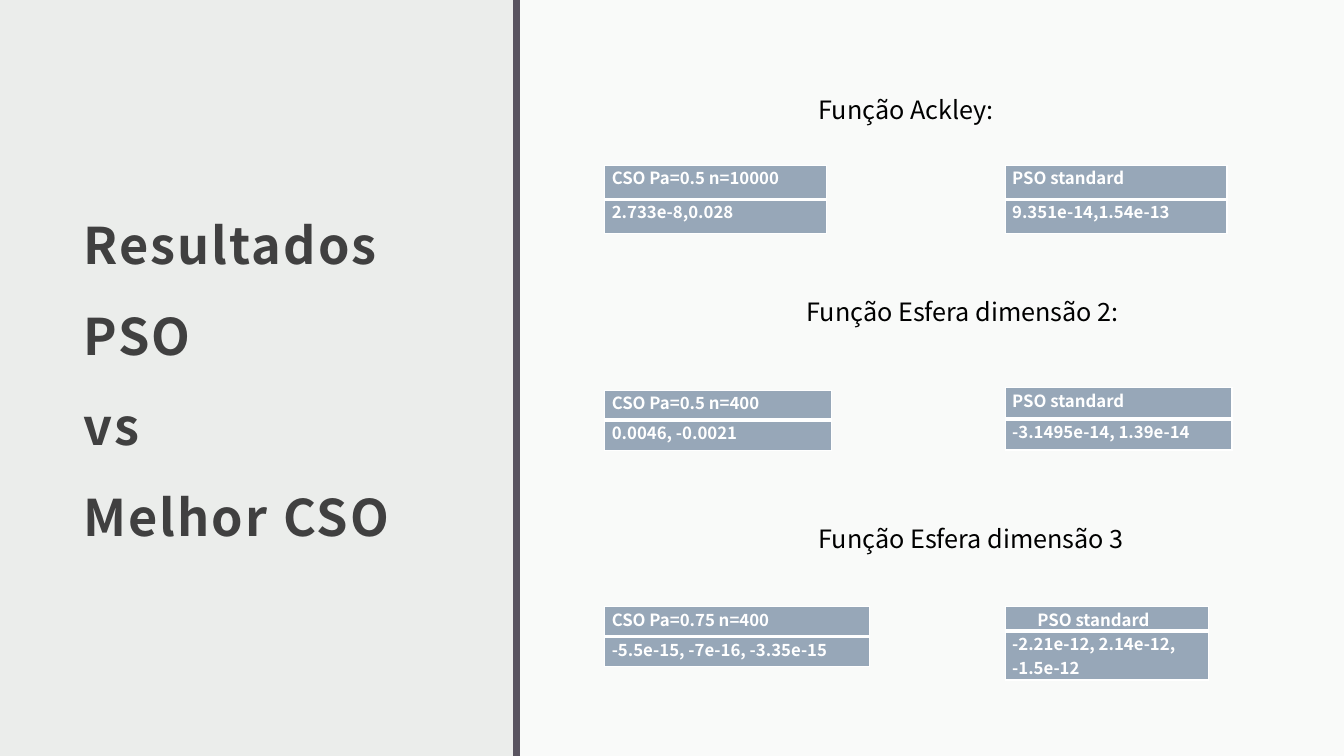
import copy
import pptx
import pptx.dml.color
import pptx.enum.shapes
import pptx.enum.text
import pptx.oxml
import pptx.oxml.ns
import pptx.util

Pt = pptx.util.Pt
qn = pptx.oxml.ns.qn
FONT = "Noto Sans CJK JP"
COLORS = {"background": "EBEDEB", "panel": "FFFFFF", "divider": "595460",
          "title": "404040", "cell": "97A7B8", "border": "FFFFFF",
          "value": "FFFFFF", "heading": "000000"}
CSO_LEFT, PSO_LEFT = 432, 718
RESULTS = [
    {"heading": ("Função Ackley:", (577.5, 63.5, 149, 29)),
     "cso": (("CSO Pa=0.5 n=10000", "2.733e-8,0.028"),
             (CSO_LEFT, 118, 158.5), (24.5, 24.5), 0),
     "pso": (("PSO standard", "9.351e-14,1.54e-13"),
             (PSO_LEFT, 118, 158.5), (24.5, 24.5), 0)},
    {"heading": ("Função Esfera dimensão 2:", (569, 208, 255.5, 29)),
     "cso": (("CSO Pa=0.5 n=400", "0.0046, -0.0021"),
             (CSO_LEFT, 278.75, 162), (21.5, 21.5), 0),
     "pso": (("PSO standard", "-3.1495e-14, 1.39e-14"),
             (PSO_LEFT, 277, 162), (22.25, 22.25), 0)},
    {"heading": ("Função Esfera dimensão 3", (577.5, 370, 247.5, 29)),
     "cso": (("CSO Pa=0.75 n=400", "-5.5e-15, -7e-16, -3.35e-15"),
             (CSO_LEFT, 433.25, 189.25), (21.5, 21.5), 0),
     "pso": (("PSO standard", "-2.21e-12, 2.14e-12, -1.5e-12"),
             (PSO_LEFT, 433.25, 145.25), (17.5, 35), 18)},
]


def rgb(part):
    return pptx.dml.color.RGBColor.from_string(COLORS[part])


def set_values(target, values):
    for name, value in values.items():
        setattr(target, name, value)


def style_text(run, part, size, bold=False):
    set_values(run.font, {"name": FONT, "size": Pt(size), "bold": bold})
    run.font.color.rgb = rgb(part)


def add_block(slide, box, part):
    block = slide.shapes.add_shape(pptx.enum.shapes.MSO_SHAPE.RECTANGLE, *map(Pt, box))
    block.shadow.inherit = False
    block.fill.solid()
    block.fill.fore_color.rgb = rgb(part)
    block.line.fill.background()
    return block


def add_backdrop(slide, box):
    left, top, width, height = box
    slide.background.fill.solid()
    slide.background.fill.fore_color.rgb = rgb("background")
    panel = add_block(slide, box, "panel")
    tint = panel.fill._xPr.find(".//" + qn("a:srgbClr"))
    tint.append(pptx.oxml.parse_xml(
        f'<a:alpha {pptx.oxml.ns.nsdecls("a")} val="75000"/>'))
    add_block(slide, (left - 5, top, 5, height), "divider")


def place_title(slide, box):
    title = slide.shapes.title
    set_values(title, dict(zip(("left", "top", "width", "height"), map(Pt, box))))
    frame = title.text_frame
    frame.text = "Resultados\vPSO\vvs\vMelhor CSO"
    set_values(frame, {"word_wrap": True,
                       "auto_size": pptx.enum.text.MSO_AUTO_SIZE.NONE,
                       "vertical_anchor": pptx.enum.text.MSO_ANCHOR.MIDDLE,
                       "margin_left": Pt(9), "margin_top": Pt(9),
                       "margin_right": Pt(9), "margin_bottom": Pt(7.2)})
    paragraph = frame.paragraphs[0]
    set_values(paragraph, {"line_spacing": 1.5, "space_before": Pt(0),
                           "alignment": pptx.enum.text.PP_ALIGN.LEFT})
    for run in paragraph.runs:
        style_text(run, "title", 36, True)
        run.font._element.set("spc", "150")
    for line_break in paragraph._p.findall(qn("a:br")):
        line_break.append(copy.deepcopy(paragraph.runs[0].font._element))


def add_borders(cell, widths):
    properties = cell._tc.get_or_add_tcPr()
    for side, width in widths.items():
        properties.append(pptx.oxml.parse_xml(
            f'<a:ln{side} {pptx.oxml.ns.nsdecls("a")} w="{Pt(width)}">'
            f'<a:solidFill><a:srgbClr val="{COLORS["border"]}"/></a:solidFill>'
            f'</a:ln{side}>'))


def add_result(slide, box, texts, heights, header_indent):
    left, top, width = map(Pt, box)
    table = slide.shapes.add_table(2, 1, left, top, width, Pt(sum(heights))).table
    table.columns[0].width = width
    borders = ({"L": 1, "R": 1, "T": 1, "B": 3}, {"L": 1, "R": 1, "T": 3, "B": 1})
    indents = (header_indent, 0)
    for row, (text, height) in enumerate(zip(texts, heights)):
        table.rows[row].height = Pt(height)
        cell = table.cell(row, 0)
        cell.text = text
        set_values(cell, {"margin_left": Pt(5), "margin_right": Pt(5),
                          "margin_top": 0, "margin_bottom": 0})
        add_borders(cell, borders[row])
        cell.fill.solid()
        cell.fill.fore_color.rgb = rgb("cell")
        paragraph = cell.text_frame.paragraphs[0]
        paragraph.space_after = Pt(8)
        paragraph._p.get_or_add_pPr().set("marL", str(Pt(indents[row])))
        style_text(paragraph.runs[0], "value", 12, True)


def add_heading(slide, box, text):
    heading = slide.shapes.add_textbox(*map(Pt, box)).text_frame
    heading.text = text
    set_values(heading, {"word_wrap": False,
                         "auto_size": pptx.enum.text.MSO_AUTO_SIZE.SHAPE_TO_FIT_TEXT})
    style_text(heading.paragraphs[0].runs[0], "heading", 18)


def build_comparison(slide):
    add_backdrop(slide, (371.5, 0, 588.5, 540))
    place_title(slide, (50.5, 55.5, 268.5, 409))
    for result in RESULTS:
        for method in ("cso", "pso"):
            texts, box, heights, header_indent = result[method]
            add_result(slide, box, texts, heights, header_indent)
        text, box = result["heading"]
        add_heading(slide, box, text)


deck = pptx.Presentation()
set_values(deck, {"slide_width": Pt(960), "slide_height": Pt(540)})
build_comparison(deck.slides.add_slide(deck.slide_layouts[5]))
deck.save("out.pptx")
